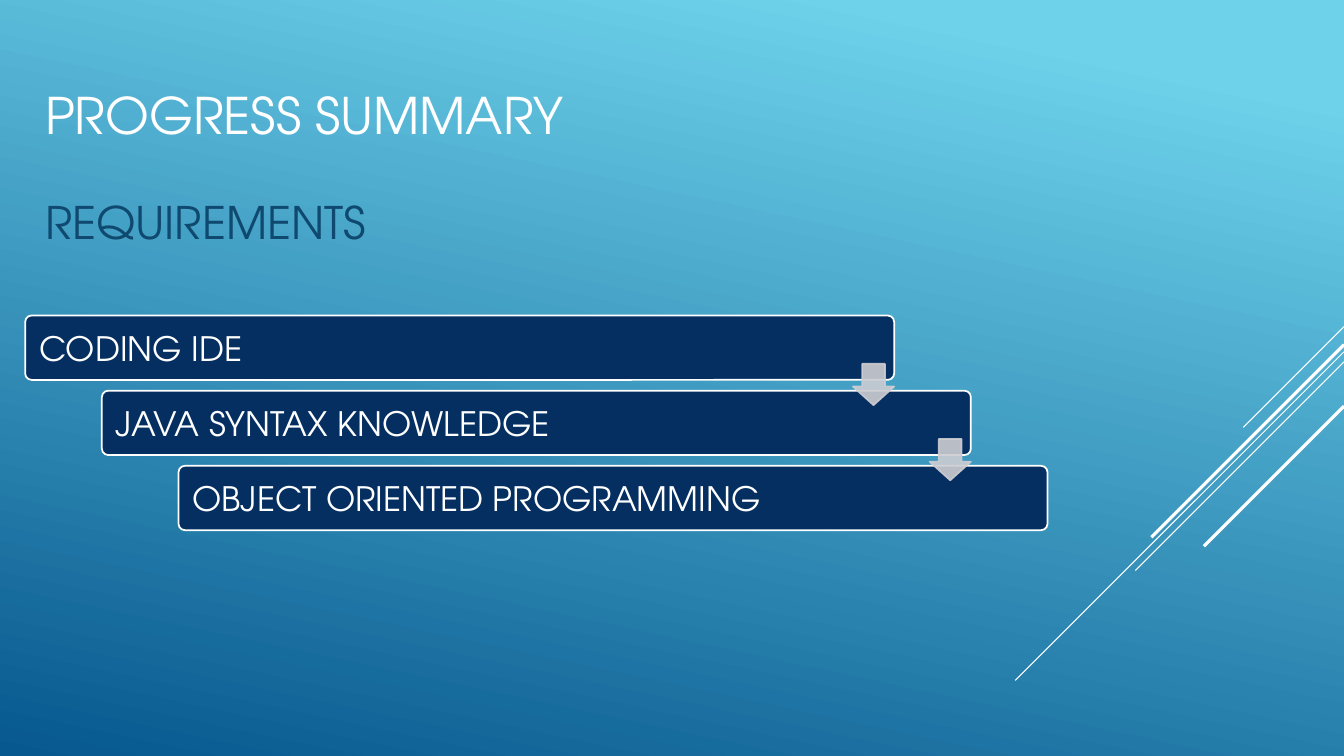
import pptx
import pptx.dml.color
import pptx.enum.shapes
import pptx.enum.text
import pptx.oxml.ns
import pptx.oxml.xmlchemy
import pptx.util

WIDE, HIGH = 13.33, 7.5
FONT = "TeX Gyre Adventor"
WHITE, NAVY, TEAL, GREY = "FFFFFF", "052F61", "0F496F", "CCCDD2"
STEPS = ["CODING IDE", "JAVA SYNTAX KNOWLEDGE", "OBJECT ORIENTED PROGRAMMING"]
RAYS = [(3.24, 1, 0.75), (3.49, 3.26, 0.75), (3.59, 2.07, 0.75),
        (3.42, 1.91, 2.25), (4.03, 1.39, 2.25)]
SHAPES = pptx.enum.shapes.MSO_SHAPE


def inch(*sizes):
    """Turn numbers into lengths in inches."""
    return [pptx.util.Inches(size) for size in sizes]


def paint(color, code):
    """Set a colour from a hex string."""
    color.rgb = pptx.dml.color.RGBColor.from_string(code)


def write(shape, text, size, code, inset=0.1, after=0):
    """Write one left-aligned line in the middle of a shape."""
    frame = shape.text_frame
    frame.word_wrap = True
    frame.vertical_anchor = pptx.enum.text.MSO_ANCHOR.MIDDLE
    frame.margin_left, frame.margin_right = inch(inset, inset)
    line = frame.paragraphs[0]
    line.alignment = pptx.enum.text.PP_ALIGN.LEFT
    line.space_after = pptx.util.Pt(after)
    run = line.add_run()
    run.text = text
    run.font.name = FONT
    run.font.size = pptx.util.Pt(size)
    paint(run.font.color, code)


def block(slide, kind, box, fill, edge, ratios):
    """Draw a filled and outlined preset shape."""
    shape = slide.shapes.add_shape(kind, *inch(*box))
    shape.shadow.inherit = False
    for spot, ratio in enumerate(ratios):
        shape.adjustments[spot] = ratio
    shape.fill.solid()
    paint(shape.fill.fore_color, fill)
    paint(shape.line.color, edge)
    shape.line.width = pptx.util.Pt(1.25)
    return shape


def fade(shape, share):
    """Make the fill and line of a shape partly clear."""
    for color in shape._element.spPr.iter(pptx.oxml.ns.qn("a:srgbClr")):
        alpha = pptx.oxml.xmlchemy.OxmlElement("a:alpha")
        alpha.set("val", str(round(share * 100000)))
        color.append(alpha)


def backdrop(slide):
    """Fill the slide with a slanted gradient."""
    fill = slide.background.fill
    fill.gradient()
    fill.gradient_angle = 258
    for stop, place, code in zip(fill.gradient_stops, (0.1, 1), ("6ED2EB", "06588E")):
        stop.position = place
        paint(stop.color, code)


def rays(slide, right):
    """Draw diagonal lines running down and left from the right edge."""
    for top, reach, width in RAYS:
        ray = slide.shapes.add_connector(
            pptx.enum.shapes.MSO_CONNECTOR.STRAIGHT,
            *inch(right, top, right - reach, top + reach))
        paint(ray.line.color, WHITE)
        ray.line.width = pptx.util.Pt(width)
        ray._element.spPr.append(pptx.oxml.xmlchemy.OxmlElement("a:effectLst"))


def heading(slide, box, text, size, code, after=0):
    """Place a heading in its box."""
    write(slide.shapes.add_textbox(*inch(*box)), text, size, code, after=after)


def stairs(slide, box, steps):
    """Place steps as a staircase of bars joined by arrows."""
    left, top, width, height = box
    count = len(steps)
    bar, tall, arrow = width * 0.85, height * 0.3, 0.41
    across = (width - bar) / (count - 1)
    down = (height - tall) / (count - 1)
    for row, text in enumerate(steps):
        place = (left + row * across, top + row * down, bar, tall)
        shape = block(slide, SHAPES.ROUNDED_RECTANGLE, place, NAVY, WHITE, [0.1])
        write(shape, text, 24, WHITE, inset=0.12)
    for row in range(count - 1):
        place = (left + row * across + bar - arrow,
                 top + row * down + tall * 0.75, arrow, arrow)
        fade(block(slide, SHAPES.DOWN_ARROW, place, GREY, GREY, [0.55, 0.45]), 0.9)


def main():
    """Build and save the slide."""
    deck = pptx.Presentation()
    deck.slide_width, deck.slide_height = inch(WIDE, HIGH)
    slide = deck.slides.add_slide(deck.slide_layouts[6])
    backdrop(slide)
    rays(slide, WIDE)
    heading(slide, (0.35, 0.15, 9.74, 1.97), "PROGRESS SUMMARY", 36, WHITE)
    heading(slide, (0.35, 1.21, 9.33, 1.97), "REQUIREMENTS", 32, TEAL, after=6)
    stairs(slide, (0.25, 3.13, 10.14, 2.13), STEPS)
    deck.save("out.pptx")


if __name__ == "__main__":
    main()
